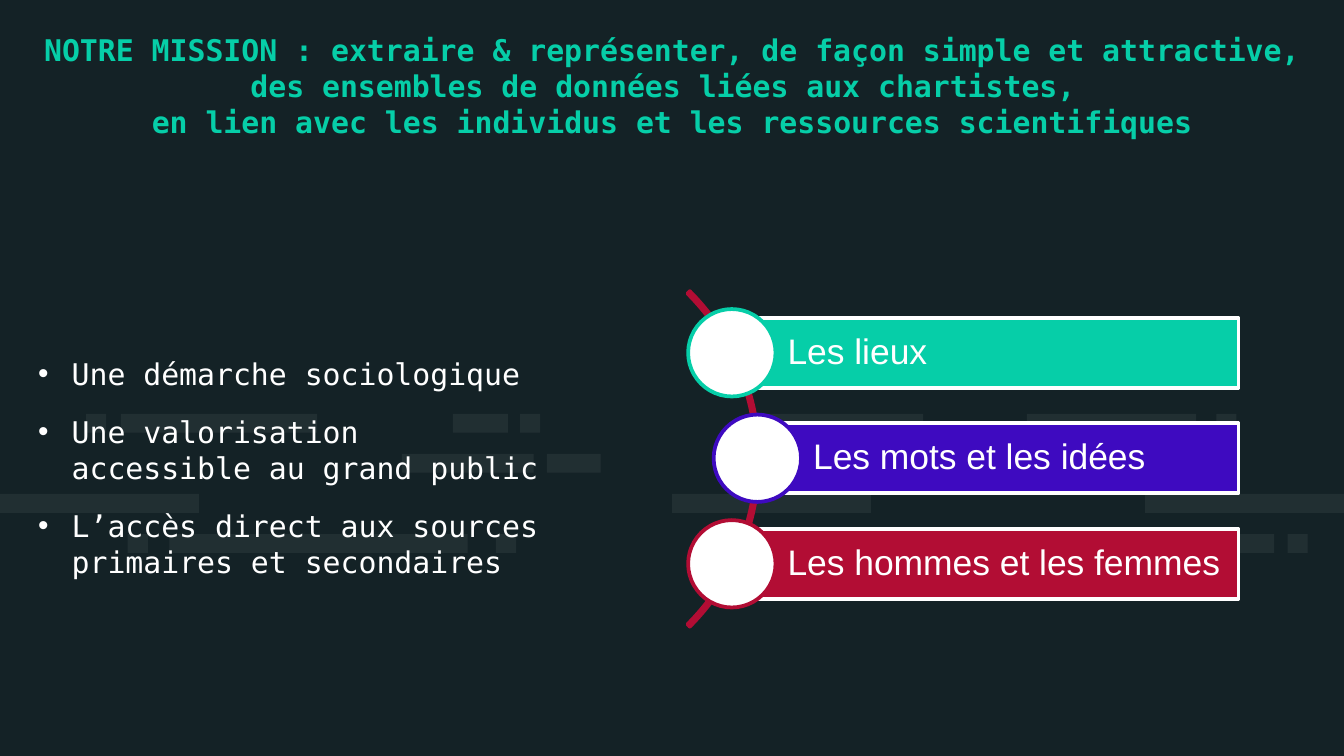
import pptx
import pptx.dml.color
import pptx.enum.shapes
import pptx.enum.text
import pptx.oxml
import pptx.oxml.ns
import pptx.util
from typing import NamedTuple

COLORS = {"night": "142226", "white": "FFFFFF", "mint": "06CEA8",
          "violet": "3E0AC0", "crimson": "B20D34"}
MONO, SANS = "DejaVu Sans Mono", "Arial"
COLUMNS, ROWS = 100, 56.25  # square grid cells of a tenth of an inch
SHAPES = pptx.enum.shapes.MSO_SHAPE
ANCHORS = pptx.enum.text.MSO_ANCHOR


class Box(NamedTuple):
    column: float
    row: float
    columns: float
    rows: float


class Dash(NamedTuple):
    track: int
    column: float
    columns: float


class Theme(NamedTuple):
    label: str
    color: str
    column: float


DASHES = [
    Dash(0, 6.4, 1.5), Dash(0, 9, 14.6), Dash(0, 33.7, 4.1), Dash(0, 38.7, 1.5),
    Dash(0, 56.1, 12.6), Dash(0, 76.4, 12.6), Dash(0, 90.5, 1.5),
    Dash(1, 29.9, 9.8), Dash(1, 40.7, 4),
    Dash(2, 0, 14.8), Dash(2, 50, 14.8), Dash(2, 85.2, 14.8),
    Dash(3, 9.5, 1.5), Dash(3, 12.6, 22.2), Dash(3, 36.9, 1.5),
    Dash(3, 62.6, 32.2), Dash(3, 95.8, 1.5),
]
THEMES = [
    Theme("Les lieux", "mint", 54.45),
    Theme("Les mots et les idées", "violet", 56.35),
    Theme("Les hommes et les femmes", "crimson", 54.45),
]
MISSION = [
    "NOTRE MISSION : extraire & représenter, de façon simple et attractive, "
    "des ensembles de données liées aux chartistes, ",
    "en lien avec les individus et les ressources scientifiques",
]
APPROACHES = [
    "Une démarche sociologique",
    "Une valorisation accessible au grand public",
    "L’accès direct aux sources primaires et secondaires",
]


def cells(count: float) -> int:
    return pptx.util.Inches(count / 10)


def place(box: Box) -> list[int]:
    return [cells(length) for length in box]


def rgb(color: str) -> pptx.dml.color.RGBColor:
    return pptx.dml.color.RGBColor.from_string(COLORS[color])


def draw_shape(slide, preset, box: Box, fill: str | None, line: str | None):
    shape = slide.shapes.add_shape(preset, *place(box))
    shape.shadow.inherit = False
    if fill:
        shape.fill.solid()
        shape.fill.fore_color.rgb = rgb(fill)
    else:
        shape.fill.background()
    if line:
        shape.line.color.rgb = rgb(line)
        shape.line.width = pptx.util.Pt(2)
    else:
        shape.line.fill.background()
    return shape


def set_frame(shape, anchor, left: float, top: float, right: float, bottom: float):
    frame = shape.text_frame
    frame.word_wrap = True
    frame.vertical_anchor = anchor
    frame.margin_left, frame.margin_top = cells(left), cells(top)
    frame.margin_right, frame.margin_bottom = cells(right), cells(bottom)
    return frame


def write_run(paragraph, text: str, font: str, size: int, color: str, bold: bool = False) -> None:
    run = paragraph.add_run()
    run.text = text
    run.font.name = font
    run.font.size = pptx.util.Pt(size)
    run.font.color.rgb = rgb(color)
    run.font.bold = bold


def draw_dash(slide, dash: Dash) -> None:
    box = Box(dash.column, 30.8 + 2.98 * dash.track, dash.columns, 1.4)
    shape = draw_shape(slide, SHAPES.RECTANGLE, box, "white", None)
    tint = shape.fill._xPr.find(".//" + pptx.oxml.ns.qn("a:srgbClr"))
    tint.append(pptx.oxml.parse_xml(
        f'<a:alpha {pptx.oxml.ns.nsdecls("a")} val="6000"/>'))


def draw_theme(slide, theme: Theme, index: int) -> None:
    middle, height, diameter, right = 26.25 + 7.85 * index, 5.2, 6.5, 92.15
    bar = draw_shape(slide, SHAPES.RECTANGLE,
                     Box(theme.column, middle - height / 2, right - theme.column, height),
                     theme.color, "white")
    label = set_frame(bar, ANCHORS.MIDDLE, 4.15, 0.5, 0.5, 0.5).paragraphs[0]
    label.alignment = pptx.enum.text.PP_ALIGN.LEFT
    label.line_spacing = 0.9
    write_run(label, theme.label, SANS, 19, "white")
    draw_shape(slide, SHAPES.OVAL,
               Box(theme.column - diameter / 2, middle - diameter / 2, diameter, diameter),
               "white", theme.color)


def add_bullet(paragraph) -> None:
    properties = paragraph._p.get_or_add_pPr()
    properties.set("marL", str(cells(3.15)))
    properties.set("indent", str(cells(-2.5)))
    names = pptx.oxml.ns.nsdecls("a")
    for xml in (f'<a:buClr {names}><a:srgbClr val="{COLORS["white"]}"/></a:buClr>',
                f'<a:buFont {names} typeface="{SANS}"/>',
                f'<a:buChar {names} char="•"/>'):
        properties.append(pptx.oxml.parse_xml(xml))


def draw_title(slide) -> None:
    title = slide.shapes.add_textbox(*place(Box(0, 1.35, COLUMNS, 9.4)))
    paragraph = set_frame(title, ANCHORS.TOP, 1, 1, 1, 1).paragraphs[0]
    paragraph.alignment = pptx.enum.text.PP_ALIGN.CENTER
    for index, line in enumerate(MISSION):
        if index:
            paragraph.add_line_break()
        write_run(paragraph, line, MONO, 16, "mint", bold=True)


def draw_approaches(slide) -> None:
    approaches = slide.shapes.add_textbox(*place(Box(1.2, 15.5, 40.9, 27.6)))
    frame = set_frame(approaches, ANCHORS.BOTTOM, 1, 1, 1, 0)
    for index, approach in enumerate(APPROACHES):
        paragraph = frame.add_paragraph() if index else frame.paragraphs[0]
        add_bullet(paragraph)
        paragraph.space_before = pptx.util.Pt(6 if index else 0)
        paragraph.space_after = pptx.util.Pt(6)
        write_run(paragraph, approach, MONO, 16, "white")


def main() -> None:
    deck = pptx.Presentation()
    deck.slide_width, deck.slide_height = cells(COLUMNS), cells(ROWS)
    slide = deck.slides.add_slide(deck.slide_layouts[6])
    slide.background.fill.solid()
    slide.background.fill.fore_color.rgb = rgb("night")

    # Faint dashes behind the content
    for dash in DASHES:
        draw_dash(slide, dash)

    draw_title(slide)

    # Thin arc from 315 to 45 degrees, linking the three themes
    arc = draw_shape(slide, SHAPES.BLOCK_ARC, Box(21.2, 16.5, 35.3, 35.3), None, "crimson")
    arc.adjustments[0] = 189
    arc.adjustments[1] = 27
    arc.adjustments[2] = 0.7 / 100
    for index, theme in enumerate(THEMES):
        draw_theme(slide, theme, index)

    draw_approaches(slide)
    deck.save("out.pptx")


if __name__ == "__main__":
    main()
